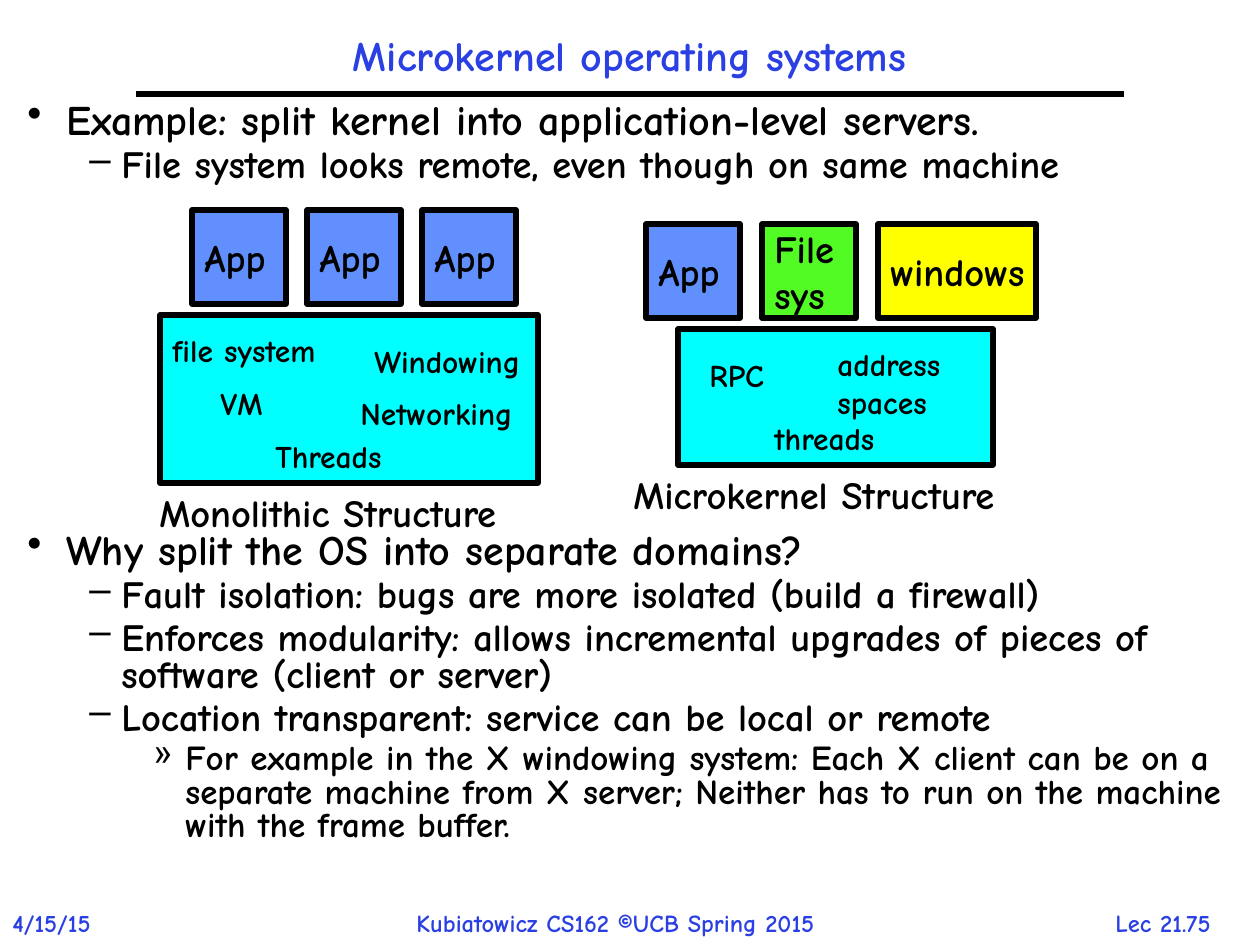
import pptx
import pptx.util
import pptx.dml.color
import pptx.enum.shapes
import pptx.enum.text
import pptx.oxml.ns
import lxml.etree

PX = 914400 / 126
FONT = "Comic Neue"
COLORS = {
    "ink": "000000",
    "accent": "2A40E2",
    "app": "618FFD",
    "files": "53FB25",
    "windows": "FFFF00",
    "kernel": "00FFFF",
}
ANCHOR = pptx.enum.text.MSO_ANCHOR
ALIGN = pptx.enum.text.PP_ALIGN

deck = pptx.Presentation()
deck.slide_width = pptx.util.Inches(10)
deck.slide_height = pptx.util.Inches(7.5)
slide = deck.slides.add_slide(deck.slide_layouts[6])


def color(name):
    return pptx.dml.color.RGBColor.from_string(COLORS[name])


def add_text(place, lines, size, ink="ink", fill=None, wrap=False):
    """Add a text box, or an outlined rectangle when a fill is named."""
    bounds = [round(length * PX) for length in place]
    if fill:
        box = slide.shapes.add_shape(pptx.enum.shapes.MSO_SHAPE.RECTANGLE, *bounds)
        box.shadow.inherit = False
        box.fill.solid()
        box.fill.fore_color.rgb = color(fill)
        box.line.color.rgb = color("ink")
        box.line.width = pptx.util.Pt(3)
    else:
        box = slide.shapes.add_textbox(*bounds)
    frame = box.text_frame
    frame.word_wrap = wrap
    frame.vertical_anchor = ANCHOR.MIDDLE if fill else ANCHOR.TOP
    frame.text = "\n".join(lines)
    for para in frame.paragraphs:
        para.alignment = ALIGN.LEFT
        para.font.name = FONT
        para.font.size = pptx.util.Pt(size)
        para.font.bold = True
        para.font.color.rgb = color(ink)
    return frame


# Footer, title and rule
add_text((0, 902, 126, 43), ["4/15/15"], 14, "accent")
add_text((404, 902, 488, 43), ["Kubiatowicz CS162 ©UCB Spring 2015"], 14, "accent")
page_number = add_text((1079, 902, 168, 42), ["Lec 21.75"], 14, "accent")
page_number.paragraphs[0].alignment = ALIGN.CENTER

title = add_text((136, 21, 987, 73), ["Microkernel operating systems"], 24, "accent", wrap=True)
title.vertical_anchor = ANCHOR.MIDDLE
title.paragraphs[0].alignment = ALIGN.CENTER
title.paragraphs[0].line_spacing = 0.9

rule = slide.shapes.add_connector(
    pptx.enum.shapes.MSO_CONNECTOR.STRAIGHT,
    *[round(length * PX) for length in (136, 94, 1124, 94)])
rule.line.color.rgb = color("ink")
rule.line.width = pptx.util.Pt(3)
lxml.etree.SubElement(rule._element.spPr, pptx.oxml.ns.qn("a:effectLst"))

# Bulleted text above and below the diagrams: (level, wording)
LEVELS = [("•", 24, 39, 39), ("–", 22, 94, 32), ("»", 20, 158, 32)]
outlines = [
    ((15, 97, 1230, 100), [
        (0, "Example: split kernel into application-level servers."),
        (1, "File system looks remote, even though on same machine"),
    ]),
    ((15, 527, 1230, 340), [
        (0, "Why split the OS into separate domains?"),
        (1, "Fault isolation: bugs are more isolated (build a firewall)"),
        (1, "Enforces modularity: allows incremental upgrades of pieces of "
            "software (client or server)"),
        (1, "Location transparent: service can be local or remote"),
        (2, "For example in the X windowing system: Each X client can be on a "
            "separate machine from X server; Neither has to run on the machine "
            "with the frame buffer."),
    ]),
]
for place, items in outlines:
    frame = slide.shapes.add_textbox(*[round(length * PX) for length in place]).text_frame
    frame.word_wrap = True
    frame.text = "\n".join(wording for level, wording in items)
    for index, (para, (level, wording)) in enumerate(zip(frame.paragraphs, items)):
        mark, size, margin, hang = LEVELS[level]
        para.level = level
        para.line_spacing = 0.8
        para.space_before = pptx.util.Pt(size * 0.15 if index else 0)
        properties = para._p.get_or_add_pPr()
        properties.set("marL", str(round(margin * PX)))
        properties.set("indent", str(round(-hang * PX)))
        bullet = lxml.etree.SubElement(properties, pptx.oxml.ns.qn("a:buChar"))
        bullet.set("char", mark)
        para.font.name = FONT
        para.font.size = pptx.util.Pt(size)
        para.font.bold = True
        para.font.color.rgb = color("ink")

# Monolithic structure
for column in range(3):
    add_text((192 + 115 * column, 210, 94, 94), ["App"], 22, fill="app")
add_text((160, 315, 378, 168), [], 18, fill="kernel")

# Microkernel structure
services = [(94, ["App"], "app"), (94, ["File", "sys"], "files"), (158, ["windows"], "windows")]
for column, (width, lines, fill) in enumerate(services):
    add_text((646 + 116 * column, 224, width, 94), lines, 22, fill=fill)
add_text((678, 329, 315, 136), [], 18, fill="kernel")

# Parts inside both kernels
parts = [
    (160, 325, 195, 43, ["file system"]),
    (362, 336, 181, 43, ["Windowing"]),
    (348, 388, 195, 43, ["Networking"]),
    (208, 378, 74, 43, ["VM"]),
    (263, 431, 149, 43, ["Threads"]),
    (697, 350, 82, 43, ["RPC"]),
    (825, 339, 144, 73, ["address", "spaces"]),
    (762, 413, 142, 43, ["threads"]),
]
for *place, lines in parts:
    add_text(place, lines, 18)

# Captions
add_text((147, 483, 410, 49), ["Monolithic Structure"], 22)
add_text((621, 465, 440, 49), ["Microkernel Structure"], 22)

deck.save("out.pptx")
